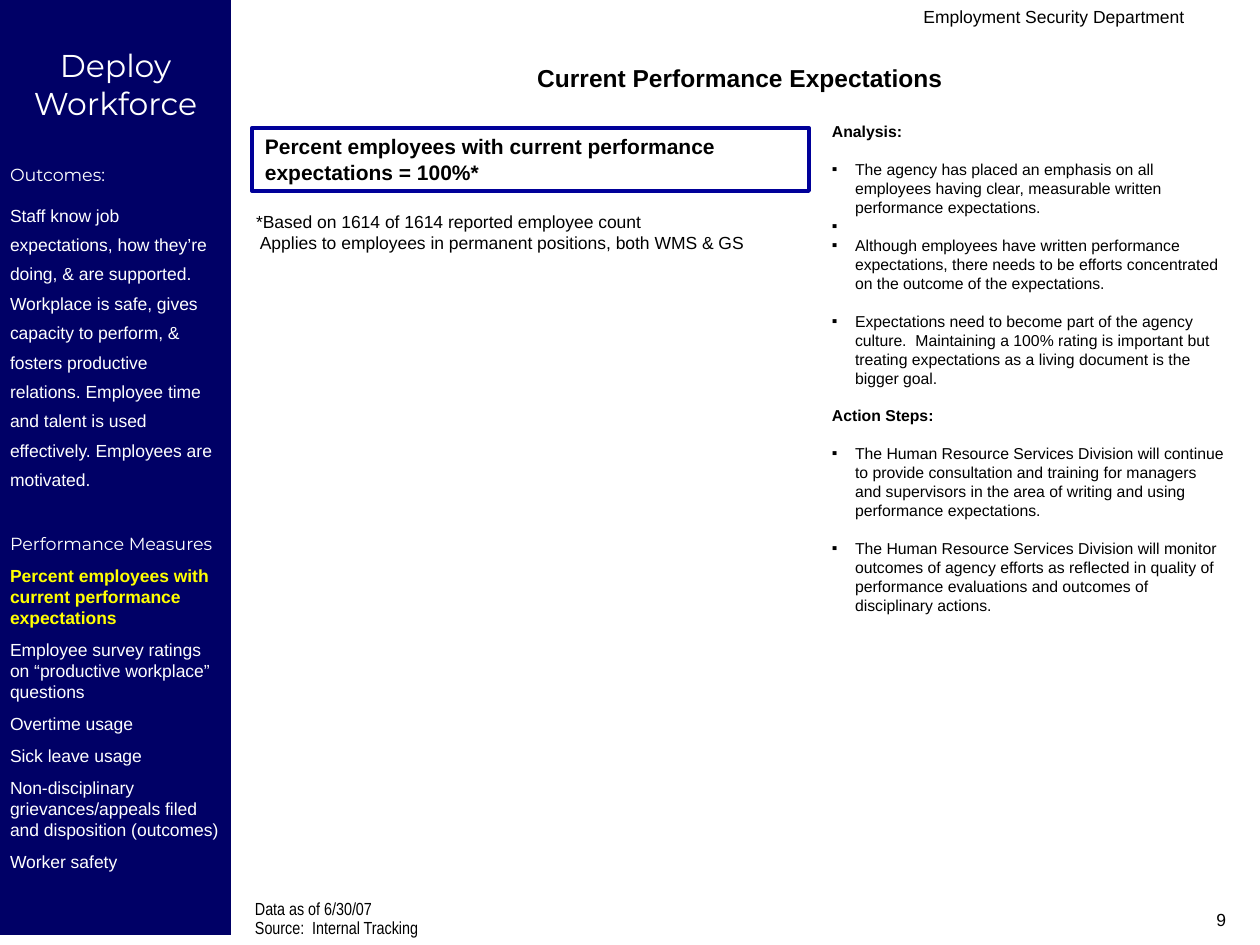
from lxml.etree import SubElement
from pptx import Presentation
from pptx.dml.color import RGBColor
from pptx.enum.shapes import MSO_SHAPE
from pptx.enum.text import MSO_ANCHOR, PP_ALIGN
from pptx.oxml.ns import qn
from pptx.util import Emu, Pt

SCALE = 914400 / 126
COLORS = {"navy": "000066", "blue": "000099", "white": "FFFFFF",
          "yellow": "FFFF00", "black": "000000"}
LEFT, CENTER, RIGHT = PP_ALIGN.LEFT, PP_ALIGN.CENTER, PP_ALIGN.RIGHT


def px(n):
    return Emu(round(n * SCALE))


def write(shape, rows, inset=(13, 6), align=LEFT):
    """Fill a shape with rows of (text, size, font, color, bold, space before)."""
    frame = shape.text_frame
    frame.word_wrap = True
    frame.vertical_anchor = MSO_ANCHOR.TOP
    frame.margin_left = frame.margin_right = px(inset[0])
    frame.margin_top, frame.margin_bottom = px(inset[1]), px(5)
    for i, (text, size, font, color, bold, gap) in enumerate(rows):
        para = frame.add_paragraph() if i else frame.paragraphs[0]
        para.text = text
        para.alignment = align
        para.space_before = Pt(gap)
        for run in para.runs:
            run.font.size = Pt(size)
            run.font.name = font
            run.font.bold = bold
            run.font.color.rgb = RGBColor.from_string(COLORS[color])
    return frame.paragraphs


deck = Presentation()
deck.slide_width, deck.slide_height = px(1260), px(945)
slide = deck.slides.add_slide(deck.slide_layouts[6])
shapes = slide.shapes

# Sidebar
side = shapes.add_shape(MSO_SHAPE.RECTANGLE, 0, 0, px(231), px(935))
side.shadow.inherit = False
side.fill.solid()
side.fill.fore_color.rgb = RGBColor.from_string(COLORS["navy"])
side.line.fill.background()
goal = ("Staff know job expectations, how they’re doing, & are supported. "
        "Workplace is safe, gives capacity to perform, & fosters productive "
        "relations. Employee time and talent is used effectively. "
        "Employees are motivated.")
rows = [
    ("Deploy Workforce", 18, "Montserrat", "white", False, 0),
    ("Outcomes:", 10, "Montserrat", "white", False, 24.4),
    (goal, 10, "Arial", "white", False, 6.2),
    ("Performance Measures", 10, "Montserrat", "white", False, 24.4),
    ("Percent employees with current performance expectations",
     10, "Arial", "yellow", True, 6.2),
]
for text in ("Employee survey ratings on “productive workplace” questions",
             "Overtime usage", "Sick leave usage",
             "Non-disciplinary grievances/appeals filed and disposition (outcomes)",
             "Worker safety"):
    rows.append((text, 10, "Arial", "white", False, 6.2))
paras = write(side, rows, inset=(10, 46))
paras[0].alignment = CENTER
paras[2].line_spacing = 1.4

# Data source
box = shapes.add_textbox(px(242), px(898), px(609), px(47))
rows = [("Data as of 6/30/07", 10, "Arial Narrow", "black", False, 0),
        ("Source:  Internal Tracking", 10, "Arial Narrow", "black", False, 2.5)]
for para in write(box, rows):
    para.line_spacing = 0.7

# Analysis and action steps: (text, is heading, space before)
GAP = 10.8
notes = [
    ("Analysis:", True, 0),
    ("The agency has placed an emphasis on all employees having clear, "
     "measurable written performance expectations.", False, GAP),
    (" ", False, 0),
    ("Although employees have written performance expectations, there needs "
     "to be efforts concentrated on the outcome of the expectations.", False, 0),
    ("Expectations need to become part of the agency culture.  Maintaining a "
     "100% rating is important but treating expectations as a living document "
     "is the bigger goal.", False, GAP),
    ("Action Steps:", True, GAP),
    ("The Human Resource Services Division will continue to provide "
     "consultation and training for managers and supervisors in the area of "
     "writing and using performance expectations.", False, GAP),
    ("The Human Resource Services Division will monitor outcomes of agency "
     "efforts as reflected in quality of performance evaluations and outcomes "
     "of disciplinary actions.", False, GAP),
]
box = shapes.add_textbox(px(819), px(116), px(420), px(598))
paras = write(box, [(text, 9, "Arial", "black", head, gap)
                    for text, head, gap in notes])
for para, (text, head, gap) in zip(paras, notes):
    if not head:
        props = para._p.get_or_add_pPr()
        props.set("marL", str(px(23)))
        props.set("indent", str(-px(23)))
        tint = SubElement(props, qn("a:buClr"))
        SubElement(tint, qn("a:srgbClr"), val=COLORS["black"])
        SubElement(props, qn("a:buFont"), typeface="Arial")
        SubElement(props, qn("a:buChar"), char="▪")

# Measure
frame = shapes.add_shape(MSO_SHAPE.RECTANGLE, px(252), px(128), px(557), px(63))
frame.shadow.inherit = False
frame.fill.background()
frame.line.color.rgb = RGBColor.from_string(COLORS["blue"])
frame.line.width = Pt(2.25)
write(frame, [("Percent employees with current performance expectations = 100%*",
               12, "Arial", "black", True, 0)])

# Single labels: text, place, size, bold, alignment
labels = [
    ("Current Performance Expectations", (231, 57, 1018, 43), 14, True, CENTER),
    ("*Based on 1614 of 1614 reported employee count\v"
     " Applies to employees in permanent positions, both WMS & GS",
     (243, 205, 523, 55), 10, False, LEFT),
    ("Employment Security Department", (567, 0, 630, 32), 10, False, RIGHT),
    ("9", (945, 903, 294, 42), 10, False, RIGHT),
]
for text, place, size, bold, align in labels:
    box = shapes.add_textbox(*map(px, place))
    write(box, [(text, size, "Arial", "black", bold, 0)], align=align)

deck.save("out.pptx")
